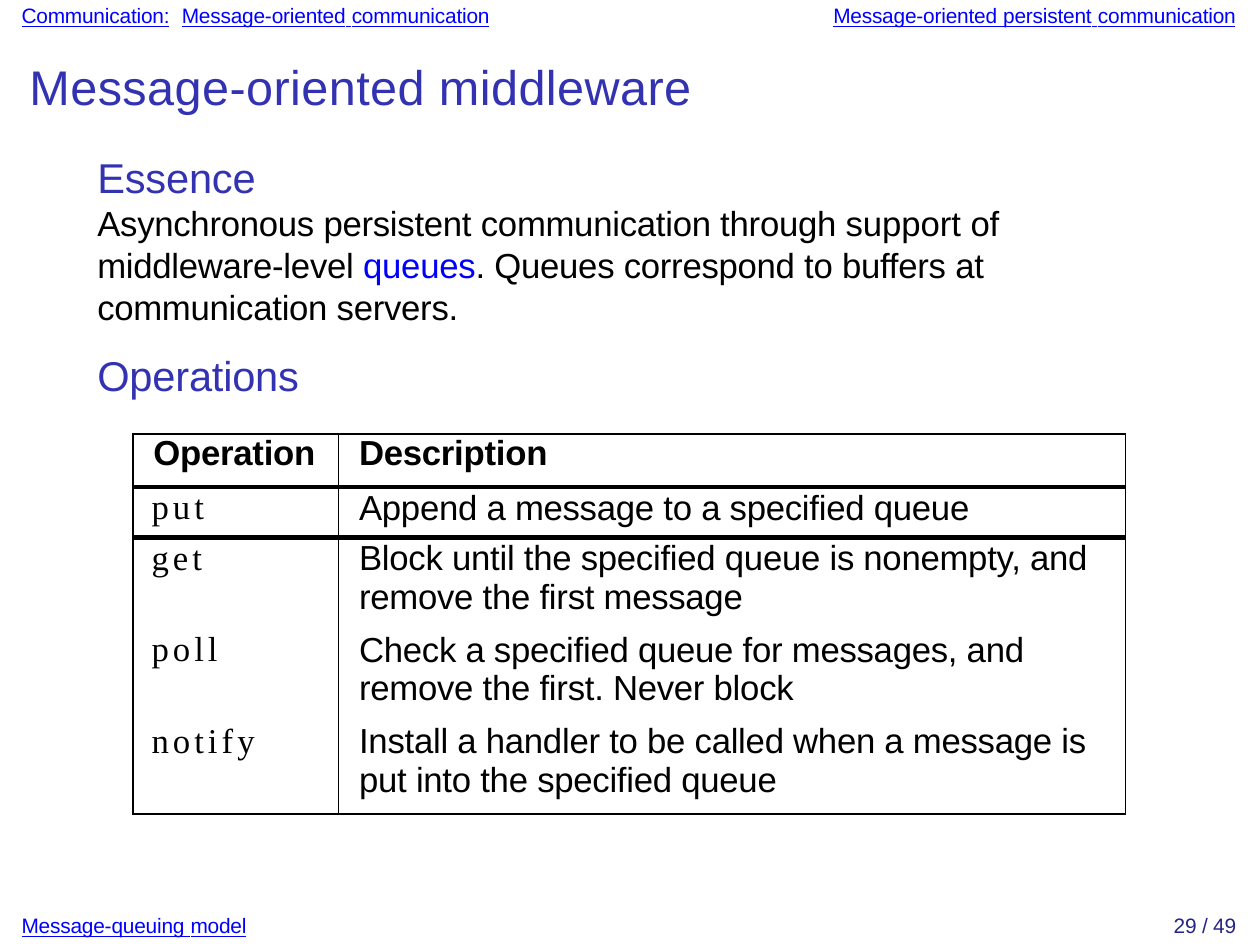
from lxml.etree import SubElement
from pptx import Presentation
from pptx.dml.color import RGBColor
from pptx.oxml.ns import qn
from pptx.util import Cm, Pt

BLACK = RGBColor(0, 0, 0)
LINK = RGBColor(0, 0, 0xFF)
TERM = RGBColor(0, 0, 0xFA)
NAVY = RGBColor(0x33, 0x33, 0xB2)
PAGE = RGBColor(0x26, 0x26, 0x85)
SANS, SERIF = "Arial", "Times New Roman"
THIN, THICK = 0.5, 1.5

ROWS = [
    ("Operation", "Description"),
    ("put", "Append a message to a specified queue"),
    ("get", "Block until the specified queue is nonempty, and remove the first message"),
    ("poll", "Check a specified queue for messages, and remove the first. Never block"),
    ("notify", "Install a handler to be called when a message is put into the specified queue"),
]


def add_run(para, text, size, color, gap=-0.05, face=SANS, bold=False, under=False):
    """Append one styled run, with letter spacing in points."""
    run = para.add_run()
    run.text = text
    font = run.font
    font.size, font.name, font.bold, font.underline = Pt(size), face, bold, under
    font.color.rgb = color
    run._r.get_or_add_rPr().set("spc", str(round(gap * 100)))


def add_box(slide, box, left=0.04, top=0.03):
    """Add a wrapping text box and return its frame."""
    frame = slide.shapes.add_textbox(*map(Cm, box)).text_frame
    frame.word_wrap = True
    frame.margin_left, frame.margin_top = Cm(left), Cm(top)
    frame.margin_right = frame.margin_bottom = 0
    return frame


def add_links(para, words):
    """Write underlined words with underlined spaces between them."""
    for i, word in enumerate(words.split()):
        if i:
            add_run(para, " ", 6, LINK, 0.1, under=True)
        add_run(para, word, 6, LINK, under=True)


def add_header(slide, box):
    """Write the section links, split by a tab stop."""
    para = add_box(slide, box).paragraphs[0]
    tabs = SubElement(para._p.get_or_add_pPr(), qn("a:tabLst"))
    SubElement(tabs, qn("a:tab"), pos=str(Cm(8.25)), algn="l")
    add_links(para, "Communication:")
    add_run(para, " ", 6, NAVY, 1.9)
    add_links(para, "Message-oriented communication")
    add_run(para, "\t", 6, NAVY)
    add_links(para, "Message-oriented persistent communication")


def add_footer(slide, box):
    """Write the topic link at the left and the page number at the right."""
    left, top, width, height = box
    topic = add_box(slide, (left, top, 2.39, height))
    add_links(topic.paragraphs[0], "Message-queuing model")
    page = add_box(slide, (left + width - 0.76, top, 0.79, height), 0.09)
    add_run(page.paragraphs[0], "29 / 49", 6, PAGE)


def add_title(slide, box):
    """Write the slide title."""
    para = add_box(slide, box, 0.05, 0.05).paragraphs[0]
    add_run(para, "Message-oriented middleware", 14, NAVY, 0.1)


def add_body(slide, box):
    """Write the essence and the heading of the operations."""
    frame = add_box(slide, box, 0.02, 0.04)
    head = frame.paragraphs[0]
    head.line_spacing = Pt(14.1)
    add_run(head, "Essence", 12, NAVY)
    text = frame.add_paragraph()
    text.line_spacing = Pt(12)
    add_run(text, "Asynchronous persistent communication through ", 10, BLACK)
    add_run(text, "support ", 10, BLACK, 0)
    add_run(text, "of middleware-level ", 10, BLACK)
    add_run(text, "queues", 10, TERM)
    add_run(text, ". Queues correspond to buffers at communication servers.", 10, BLACK)
    head = frame.add_paragraph()
    head.space_before = Pt(6.5)
    add_run(head, "Operations", 12, NAVY)


def set_edges(cell, top, bottom):
    """Draw thin sides and the given top and bottom edges of a cell."""
    props = cell._tc.get_or_add_tcPr()
    for side, width in zip("LRTB", (THIN, THIN, top, bottom)):
        line = SubElement(props, qn(f"a:ln{side}"), w=str(Pt(width)))
        if width:
            fill = SubElement(line, qn("a:solidFill"))
            SubElement(fill, qn("a:srgbClr"), val=str(BLACK))
        else:
            SubElement(line, qn("a:noFill"))
    cell.fill.background()


def add_grid(slide, box):
    """Build the table of queue operations."""
    shape = slide.shapes.add_table(len(ROWS), 2, *map(Cm, box))
    table = shape.table
    table.first_row = table.horz_banding = False
    for col, width in zip(table.columns, (2.09, box[2] - 2.09)):
        col.width = Cm(width)
    for row, high in zip(table.rows, (0.54, 0.51, 0.93, 0.93, 0.95)):
        row.height = Cm(high)
    edges = (THIN, THICK, THICK, 0, 0, THIN)
    for r, texts in enumerate(ROWS):
        for c, text in enumerate(texts):
            cell = table.cell(r, c)
            code = r > 0 and c == 0
            cell.margin_left = Cm(0.19 if code else 0.21)
            cell.margin_top = Cm(0.02 if r else 0)
            cell.margin_right = cell.margin_bottom = 0
            add_run(cell.text_frame.paragraphs[0], text, 10, BLACK,
                    1.2 if code else -0.05, SERIF if code else SANS, r == 0)
            set_edges(cell, edges[r], edges[r + 1])


def main():
    """Build the slide and save it."""
    deck = Presentation()
    deck.slide_width, deck.slide_height = Pt(363), Pt(272.5)
    slide = deck.slides.add_slide(deck.slide_layouts[6])
    add_header(slide, (0.18, 0, 12.42, 0.33))
    add_title(slide, (0.25, 0.53, 6.9, 0.69))
    add_body(slide, (0.97, 1.52, 9.35, 2.57))
    add_grid(slide, (1.35, 4.41, 10.09, 3.86))
    add_footer(slide, (0.18, 9.25, 12.42, 0.33))
    deck.save("out.pptx")


if __name__ == "__main__":
    main()
